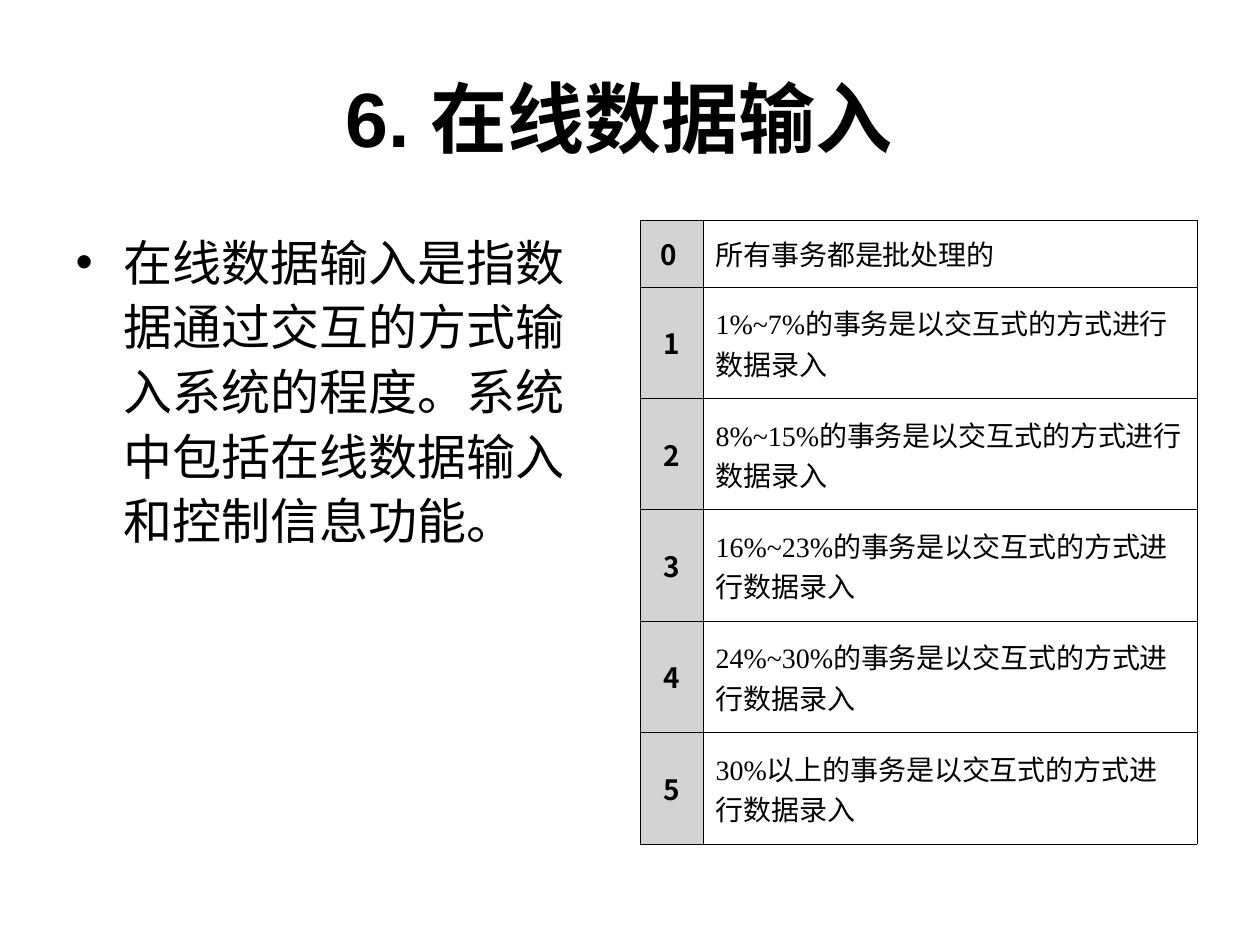
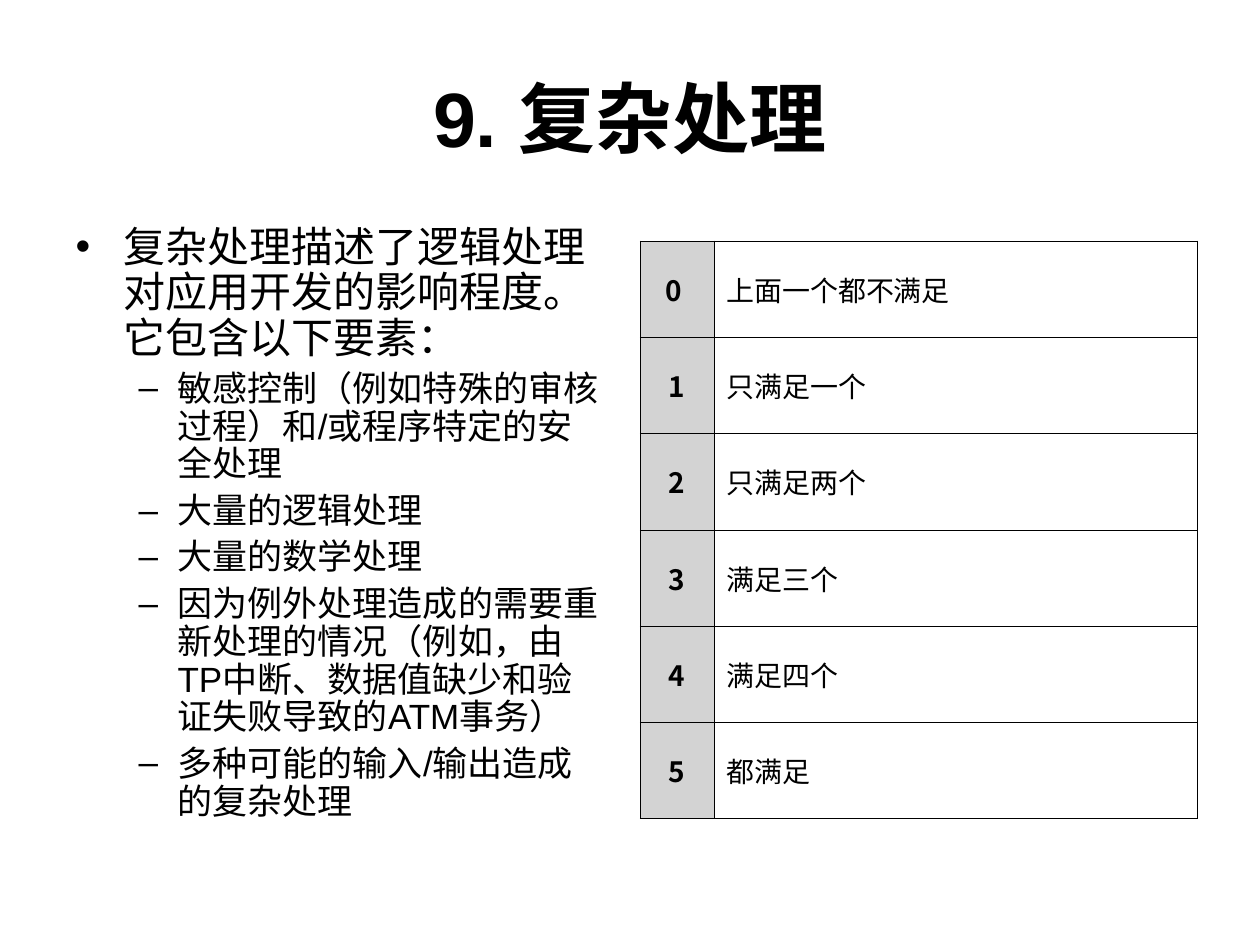
import pptx
import pptx.util
import pptx.dml.color
import pptx.enum.text
import pptx.oxml
import pptx.oxml.ns

SLIDES = [
    {
        "title": "6. 在线数据输入 ",
        "body": [(0, "在线数据输入是指数据通过交互的方式输入系统的程度。系统中包括在线数据输入和控制信息功能。")],
        "sizes": (28, 24),
        "spacing": 1.1,
        "scores": [
            "所有事务都是批处理的",
            "1%~7%的事务是以交互式的方式进行数据录入",
            "8%~15%的事务是以交互式的方式进行数据录入",
            "16%~23%的事务是以交互式的方式进行数据录入",
            "24%~30%的事务是以交互式的方式进行数据录入",
            "30%以上的事务是以交互式的方式进行数据录入",
        ],
        "grid": {"top": 220, "height": 624, "score_width": 63, "first_row": 67, "hanging": 48},
    },
    {
        "title": "9. 复杂处理",
        "body": [
            (0, "复杂处理描述了逻辑处理对应用开发的影响程度。它包含以下要素："),
            (1, "敏感控制（例如特殊的审核过程）和/或程序特定的安全处理"),
            (1, "大量的逻辑处理"),
            (1, "大量的数学处理"),
            (1, "因为例外处理造成的需要重新处理的情况（例如，由TP中断、数据值缺少和验证失败导致的ATM事务）"),
            (1, "多种可能的输入/输出造成的复杂处理"),
        ],
        "sizes": (24, 20),
        "spacing": 0.9,
        "scores": ["上面一个都不满足", "只满足一个", "只满足两个", "满足三个", "满足四个", "都满足"],
        "grid": {"top": 241, "height": 578, "score_width": 74, "first_row": None, "hanging": 0},
    },
]

COLORS = {"text": "000000", "paper": "FFFFFF", "score": "D3D3D3", "border": "000000"}
FONTS = {"heading": "Arial", "score": "Noto Sans CJK SC", "meaning": "Times New Roman"}
LEVELS = [
    {"bullet": "•", "left": 48, "hanging": 48, "before": 0},
    {"bullet": "–", "left": 102, "hanging": 39, "before": 5},
]
TITLE_BOX = (63, 38, 1134, 158)
BODY_BOX = (63, 220, 557, 624)
GRID_LEFT, GRID_WIDTH = 640, 557
ALIGN = pptx.enum.text.PP_ALIGN
MIDDLE = pptx.enum.text.MSO_ANCHOR.MIDDLE


def px(length):
    return round(length * 914400 / 126)


def rgb(name):
    return pptx.dml.color.RGBColor.from_string(COLORS[name])


def element(xml):
    return pptx.oxml.parse_xml(xml.replace(" ", f" {pptx.oxml.ns.nsdecls('a')} ", 1))


def apply(target, formats):
    for attribute, value in formats.items():
        setattr(target, attribute, value)


def place(shape, box):
    apply(shape, dict(zip(("left", "top", "width", "height"), map(px, box))))


def write(paragraph, text, size, font, east_asian, bold=False):
    run = paragraph.add_run()
    run.text = text
    apply(run.font, {"size": pptx.util.Pt(size), "name": font, "bold": bold})
    run.font.color.rgb = rgb("text")
    latin = run._r.rPr.find(pptx.oxml.ns.qn("a:latin"))
    latin.addnext(element(f'<a:ea typeface="{east_asian}"/>'))


def indent(paragraph, left, hanging):
    properties = paragraph._p.get_or_add_pPr()
    properties.set("marL", str(px(left)))
    properties.set("indent", str(-px(hanging)))
    return properties


def add_title(slide, text):
    title = slide.shapes.title
    place(title, TITLE_BOX)
    apply(title.text_frame, {"vertical_anchor": MIDDLE, "auto_size": pptx.enum.text.MSO_AUTO_SIZE.NONE})
    heading = title.text_frame.paragraphs[0]
    heading.alignment = ALIGN.CENTER
    write(heading, text, 44, FONTS["heading"], FONTS["heading"], True)


def add_body(slide, items, sizes, spacing):
    body = slide.placeholders[1]
    place(body, BODY_BOX)
    frame = body.text_frame
    frame.auto_size = pptx.enum.text.MSO_AUTO_SIZE.NONE
    for index, (level, text) in enumerate(items):
        item = frame.add_paragraph() if index else frame.paragraphs[0]
        style = LEVELS[level]
        properties = indent(item, style["left"], style["hanging"])
        properties.append(element(f'<a:buClr ><a:srgbClr val="{COLORS["text"]}"/></a:buClr>'))
        properties.append(element('<a:buFont typeface="Arial"/>'))
        properties.append(element(f'<a:buChar char="{style["bullet"]}"/>'))
        apply(item, {"level": level, "line_spacing": spacing,
                     "space_before": pptx.util.Pt(style["before"])})
        write(item, text, sizes[level], FONTS["heading"], FONTS["heading"])


def format_cell(cell, fill):
    cell.vertical_anchor = MIDDLE
    properties = cell._tc.get_or_add_tcPr()
    for side in ("lnL", "lnR", "lnT", "lnB"):
        properties.append(element(
            f'<a:{side} w="4320"><a:solidFill><a:srgbClr val="{COLORS["border"]}"/>'
            f'</a:solidFill></a:{side}>'))
    cell.fill.solid()
    cell.fill.fore_color.rgb = rgb(fill)


def add_scores(slide, meanings, top, height, score_width, first_row, hanging):
    count = len(meanings)
    table = slide.shapes.add_table(
        count, 2, px(GRID_LEFT), px(top), px(GRID_WIDTH), px(height)).table
    apply(table, {"first_row": False, "horz_banding": False})
    table.columns[0].width = px(score_width)
    table.columns[1].width = px(GRID_WIDTH - score_width)
    first = first_row or height / count
    other = (height - first) / (count - 1)
    for score, meaning in enumerate(meanings):
        table.rows[score].height = px(other if score else first)
        score_cell, meaning_cell = table.cell(score, 0), table.cell(score, 1)
        format_cell(score_cell, "score")
        format_cell(meaning_cell, "paper")
        number = score_cell.text_frame.paragraphs[0]
        number.alignment = ALIGN.CENTER
        indent(number, hanging, hanging)
        write(number, str(score) if score else "0 ", 16, FONTS["score"], FONTS["score"], True)
        write(meaning_cell.text_frame.paragraphs[0], meaning, 16, FONTS["meaning"], FONTS["score"])


def main():
    deck = pptx.Presentation()
    apply(deck, {"slide_width": px(1260), "slide_height": px(945)})
    for content in SLIDES:
        slide = deck.slides.add_slide(deck.slide_layouts[1])
        add_title(slide, content["title"])
        add_body(slide, content["body"], content["sizes"], content["spacing"])
        add_scores(slide, content["scores"], **content["grid"])
    deck.save("out.pptx")


if __name__ == "__main__":
    main()
